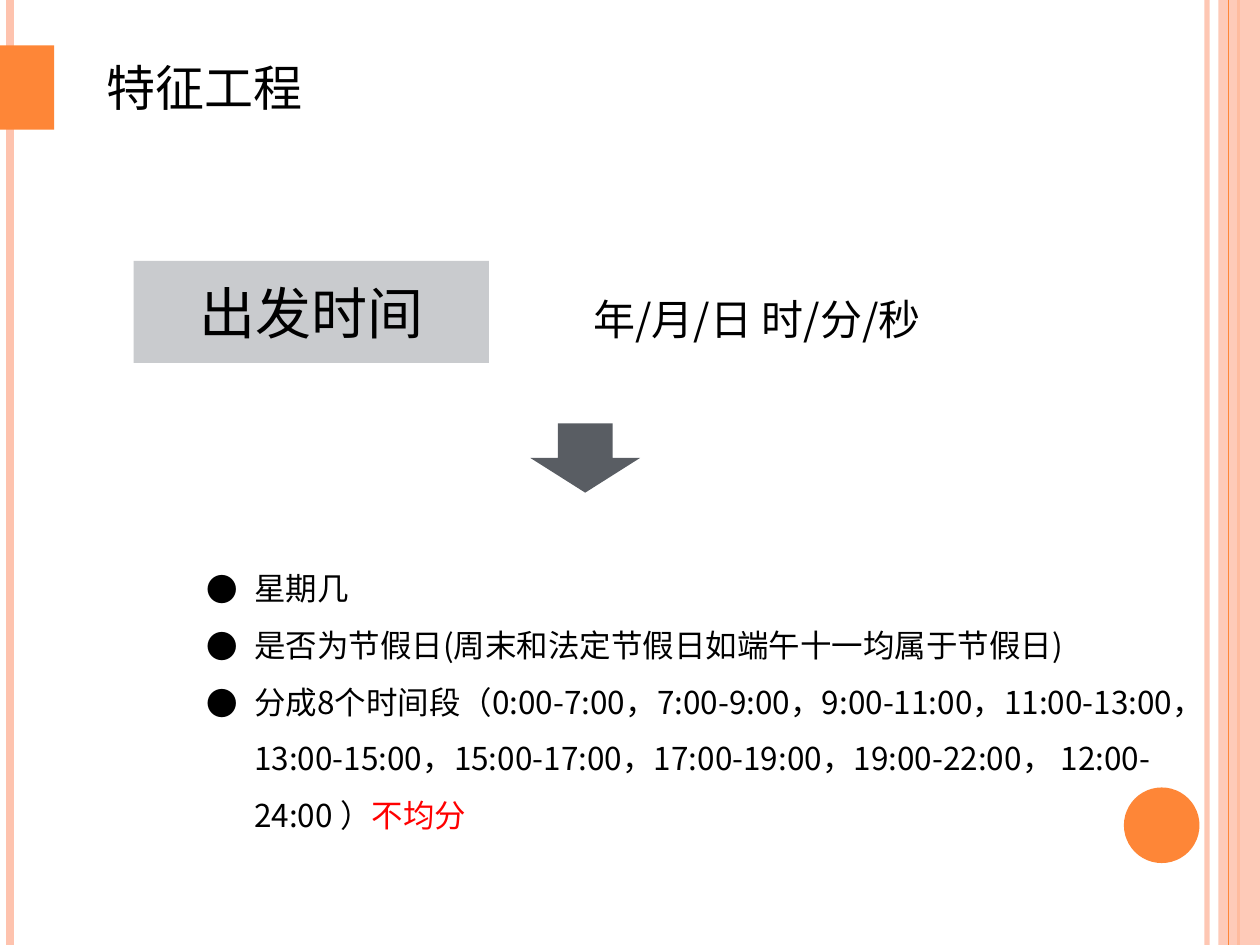
from dataclasses import dataclass

from lxml.etree import SubElement
from pptx import Presentation
from pptx.dml.color import RGBColor
from pptx.enum.shapes import MSO_CONNECTOR as Connector, MSO_SHAPE as Shape
from pptx.enum.text import MSO_ANCHOR as Anchor, PP_ALIGN as Align
from pptx.oxml.ns import qn
from pptx.util import Inches, Pt


@dataclass(frozen=True)
class Theme:
    font: str = "Noto Sans CJK SC"
    ink: str = "000000"
    accent: str = "FE8637"
    pale: str = "FEC3AE"
    label_fill: str = "C9CBCE"
    arrow_fill: str = "595D63"
    warning: str = "FF0000"
    title_size: int = 28
    label_size: int = 32
    format_size: int = 24
    body_size: int = 18


THEME = Theme()
SLIDE_HEIGHT = 7.5
PERIODS = (
    "分成8个时间段（0:00-7:00，7:00-9:00，9:00-11:00，11:00-13:00， "
    "13:00-15:00，15:00-17:00，17:00-19:00，19:00-22:00， 12:00-24:00 ）"
)
FEATURES = [
    [("星期几", None)],
    [("是否为节假日(周末和法定节假日如端午十一均属于节假日)", None)],
    [(PERIODS, None), ("不均分", THEME.warning)],
]


def rgb(color):
    return RGBColor.from_string(color)


def set_opacity(fill, percent):
    for color in fill.iter(qn("a:srgbClr")):
        SubElement(color, qn("a:alpha"), val=str(percent * 1000))


def add_stripe(slide, x, color, width, opacity=100):
    stripe = slide.shapes.add_connector(
        Connector.STRAIGHT, Inches(x), 0, Inches(x), Inches(SLIDE_HEIGHT)
    )
    stripe.line.color.rgb = rgb(color)
    stripe.line.width = Pt(width)
    properties = stripe.element.spPr
    if opacity < 100:
        set_opacity(properties, opacity)
    SubElement(properties, qn("a:effectLst"))


def add_block(slide, preset, box, color, opacity=100):
    block = slide.shapes.add_shape(preset, *map(Inches, box))
    block.shadow.inherit = False
    block.fill.solid()
    block.fill.fore_color.rgb = rgb(color)
    block.line.fill.background()
    if opacity < 100:
        set_opacity(block.element.spPr, opacity)
    return block


def style_paragraph(paragraph, size):
    font = paragraph.font
    font.name = THEME.font
    font.size = Pt(size)
    font.color.rgb = rgb(THEME.ink)
    defaults = paragraph._p.pPr.find(qn("a:defRPr"))
    SubElement(defaults, qn("a:ea"), typeface=THEME.font)


def add_text(slide, box, text, size):
    frame = slide.shapes.add_textbox(*map(Inches, box)).text_frame
    frame.word_wrap = True
    frame.text = text
    style_paragraph(frame.paragraphs[0], size)


def add_label(slide, box, text):
    label = add_block(slide, Shape.RECTANGLE, box, THEME.label_fill)
    frame = label.text_frame
    frame.vertical_anchor = Anchor.MIDDLE
    frame.text = text
    paragraph = frame.paragraphs[0]
    paragraph.alignment = Align.CENTER
    style_paragraph(paragraph, THEME.label_size)


def add_bullets(slide, box, items):
    frame = slide.shapes.add_textbox(*map(Inches, box)).text_frame
    frame.word_wrap = True
    for index, parts in enumerate(items):
        paragraph = frame.add_paragraph() if index else frame.paragraphs[0]
        paragraph.line_spacing = 1.5
        indent = Inches(0.38)
        properties = paragraph._p.get_or_add_pPr()
        properties.set("marL", str(indent))
        properties.set("indent", str(-indent))
        SubElement(properties, qn("a:buFont"), typeface=THEME.font)
        SubElement(properties, qn("a:buChar"), char="●")
        style_paragraph(paragraph, THEME.body_size)
        for text, color in parts:
            run = paragraph.add_run()
            run.text = text
            if color:
                run.font.color.rgb = rgb(color)


def add_decoration(slide):
    add_stripe(slide, 9.58, THEME.pale, 3, opacity=93)
    add_stripe(slide, 0.08, THEME.pale, 4.5)
    add_stripe(slide, 9.83, THEME.accent, 1.5)
    add_block(slide, Shape.RECTANGLE, (9.67, 0, 0.33, SLIDE_HEIGHT), THEME.pale, opacity=87)
    add_stripe(slide, 9.75, THEME.accent, 0.75)
    add_block(slide, Shape.OVAL, (8.92, 6.25, 0.6, 0.6), THEME.accent)


def main():
    deck = Presentation()
    deck.slide_width = Inches(10)
    deck.slide_height = Inches(SLIDE_HEIGHT)
    slide = deck.slides.add_slide(deck.slide_layouts[6])

    add_decoration(slide)
    add_label(slide, (1.06, 2.07, 2.82, 0.81), "出发时间")
    add_text(slide, (4.61, 2.28, 3.39, 0.5), "年/月/日 时/分/秒", THEME.format_size)
    add_bullets(slide, (1.54, 4.32, 8.27, 2.37), FEATURES)
    add_text(slide, (0.75, 0.41, 2.68, 0.57), "特征工程", THEME.title_size)
    add_block(slide, Shape.RECTANGLE, (0, 0.36, 0.43, 0.67), THEME.accent)
    add_block(slide, Shape.DOWN_ARROW, (4.21, 3.36, 0.87, 0.55), THEME.arrow_fill)

    deck.save("out.pptx")


if __name__ == "__main__":
    main()
